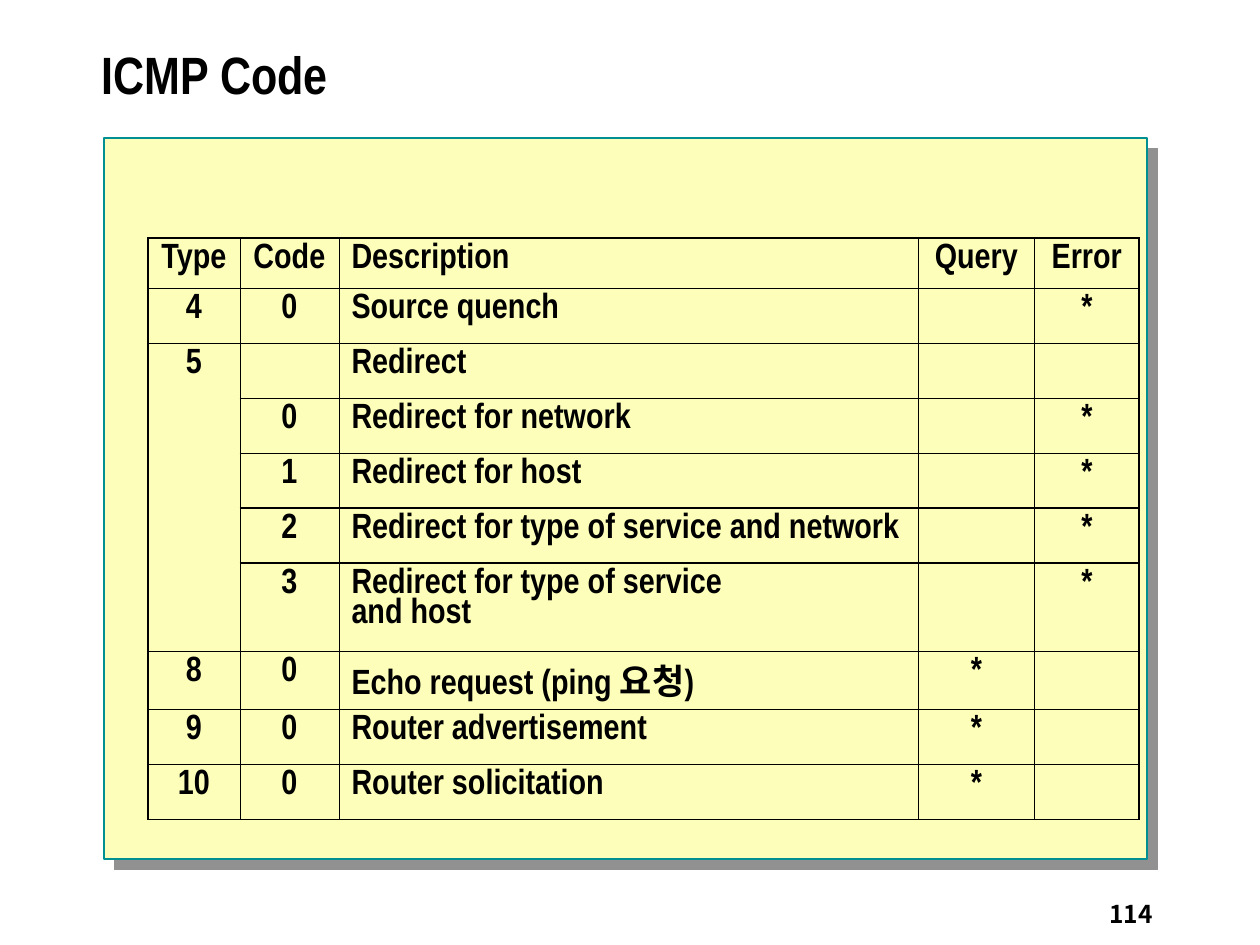
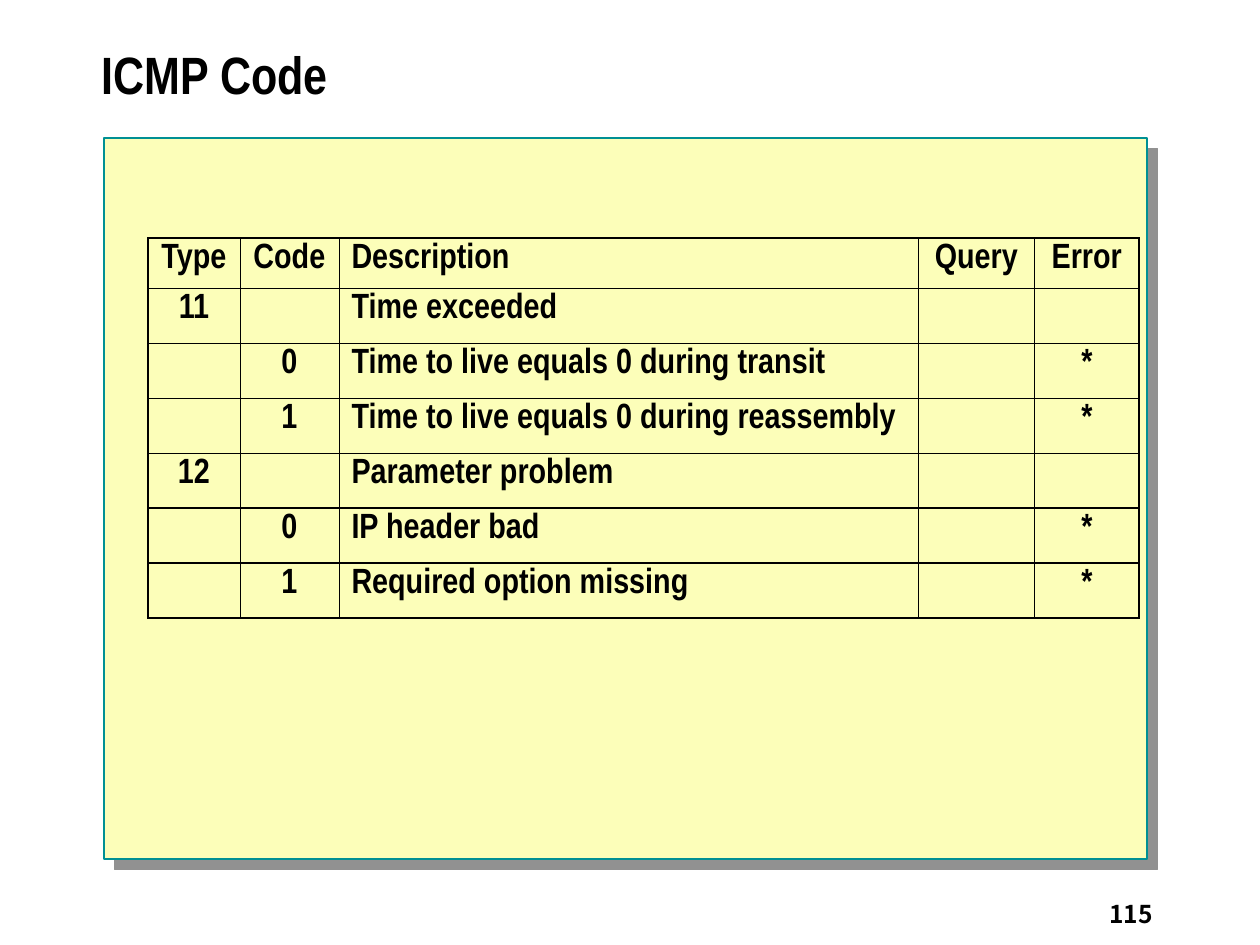
from pptx import Presentation
from pptx import util as u
from pptx.dml.color import RGBColor
from pptx.enum import shapes, text
from pptx.oxml.ns import qn
from lxml import etree

BLACK = RGBColor(0x00, 0x00, 0x00)
CREAM = RGBColor(0xFC, 0xFE, 0xB9)
TEAL = RGBColor(0x00, 0x90, 0x94)
GRAY = RGBColor(0x91, 0x91, 0x91)
LATIN, KOREAN = "Arial Narrow", "Noto Sans CJK KR"

PX_PER_INCH = 126
LEFT, CENTER, RIGHT = text.PP_ALIGN.LEFT, text.PP_ALIGN.CENTER, text.PP_ALIGN.RIGHT
THIN, THICK = 0.45, 1.08

HEADER = ("Type", "Code", "Description", "Query", "Error")
COL_WIDTHS = (92, 99, 579, 117, 104)
COL_ALIGN = (CENTER, CENTER, LEFT, CENTER, CENTER)
HEADER_H, ROW_H = 50, 55
TAB_STOP = 504

REDIRECT_ROWS = [
    ("4", "0", "Source quench", "", "*"),
    ("5", "", "Redirect", "", ""),
    ("", "0", "Redirect for network", "", "*"),
    ("", "1", "Redirect for host", "", "*"),
    ("", "2", "Redirect for type of service and network", "", "*"),
    ("", "3", "Redirect for type of service \tand host", "", "*"),
    ("8", "0", "Echo request (ping 요청)", "*", ""),
    ("9", "0", "Router advertisement", "*", ""),
    ("10", "0", "Router solicitation", "*", ""),
]
TIME_ROWS = [
    ("11", "", "Time exceeded", "", ""),
    ("", "0", "Time to live equals 0 during transit", "", "*"),
    ("", "1", "Time to live equals 0 during reassembly", "", "*"),
    ("12", "", "Parameter problem", "", ""),
    ("", "0", "IP header bad", "", "*"),
    ("", "1", "Required option missing", "", "*"),
]


def px(n):
    return u.Inches(n / PX_PER_INCH)


def sub(parent, tag, **attrs):
    return etree.SubElement(parent, qn(tag), {k: str(v) for k, v in attrs.items()})


def write(tf, content, size=20, font=LATIN, align=LEFT, spacing=1.0):
    p = tf.paragraphs[0]
    p.alignment, p.line_spacing = align, spacing
    if "\t" in content:
        tabs = sub(p._p.get_or_add_pPr(), "a:tabLst")
        sub(tabs, "a:tab", pos=px(TAB_STOP), algn="l")
    r = p.add_run()
    r.text = content
    r.font.size, r.font.bold, r.font.name = u.Pt(size), True, font
    r.font.color.rgb = BLACK
    sub(r._r.get_or_add_rPr(), "a:ea", typeface=KOREAN)


def set_border(cell, **widths):
    """Draw solid black cell sides; keys are L, R, T and B, in that order."""
    tc_pr = cell._tc.get_or_add_tcPr()
    for side, width in widths.items():
        line = sub(tc_pr, "a:ln" + side, w=u.Pt(width))
        sub(sub(line, "a:solidFill"), "a:srgbClr", val=BLACK)


class Deck:
    def __init__(self):
        self.prs = Presentation()
        self.prs.slide_width, self.prs.slide_height = px(1260), px(945)
        self.s = None

    def add_slide(self, title, number):
        self.s = self.prs.slides.add_slide(self.prs.slide_layouts[5])
        self.panel()
        self.title(title)
        self.page_number(number)

    def panel(self):
        sp = self.s.shapes.add_shape(shapes.MSO_SHAPE.RECTANGLE,
                                     px(104), px(138), px(1043), px(721))
        sp.fill.solid()
        sp.fill.fore_color.rgb = CREAM
        sp.line.color.rgb = TEAL
        sp.line.width = u.Pt(1)
        sp.shadow.inherit = False
        effects = sp._element.spPr.find(qn("a:effectLst"))
        shadow = sub(effects, "a:outerShdw", dist=u.Pt(8.5), dir=45 * 60000,
                     algn="ctr", rotWithShape=0)
        sub(shadow, "a:srgbClr", val=GRAY)

    def title(self, content):
        sp = self.s.shapes.title
        sp.left, sp.top, sp.width, sp.height = px(89), px(21), px(1129), px(116)
        tf = sp.text_frame
        tf.auto_size = text.MSO_AUTO_SIZE.NONE
        tf.vertical_anchor = text.MSO_ANCHOR.MIDDLE
        write(tf, content, size=30, spacing=0.8)

    def page_number(self, number):
        sp = self.s.shapes.add_textbox(px(903), px(872), px(262), px(63))
        tf = sp.text_frame
        tf.word_wrap = True
        tf.vertical_anchor = text.MSO_ANCHOR.BOTTOM
        write(tf, str(number), size=14, font=KOREAN, align=RIGHT)

    def code_table(self, rows, tall=None, merge=None):
        """tall maps row index to height; merge is the first and last row of one type."""
        rows = [HEADER, *rows]
        heights = [HEADER_H] + [ROW_H] * (len(rows) - 1)
        for i, height in (tall or {}).items():
            heights[i] = height
        table = self.s.shapes.add_table(len(rows), len(HEADER), px(148), px(238),
                                        px(sum(COL_WIDTHS)), px(sum(heights))).table
        table.first_row = table.horz_banding = False
        for col, width in zip(table.columns, COL_WIDTHS):
            col.width = px(width)
        for row, height in zip(table.rows, heights):
            row.height = px(height)
        if merge:
            table.cell(merge[0], 0).merge(table.cell(merge[1], 0))

        last = len(HEADER) - 1
        for i, row in enumerate(rows):
            for j, content in enumerate(row):
                cell = table.cell(i, j)
                sides = {"L": THIN if j else THICK, "R": THICK if j == last else THIN}
                if not cell.is_spanned:
                    sides.update(T=THICK, B=THICK)
                set_border(cell, **sides)
                cell.fill.background()
                if content:
                    write(cell.text_frame, content, align=COL_ALIGN[j], spacing=0.9)


def main():
    deck = Deck()
    deck.add_slide("ICMP Code", 114)
    deck.code_table(REDIRECT_ROWS, tall={6: 88, 7: 58}, merge=(2, 6))
    deck.add_slide("ICMP Code", 115)
    deck.code_table(TIME_ROWS)
    deck.prs.save("out.pptx")


if __name__ == "__main__":
    main()
